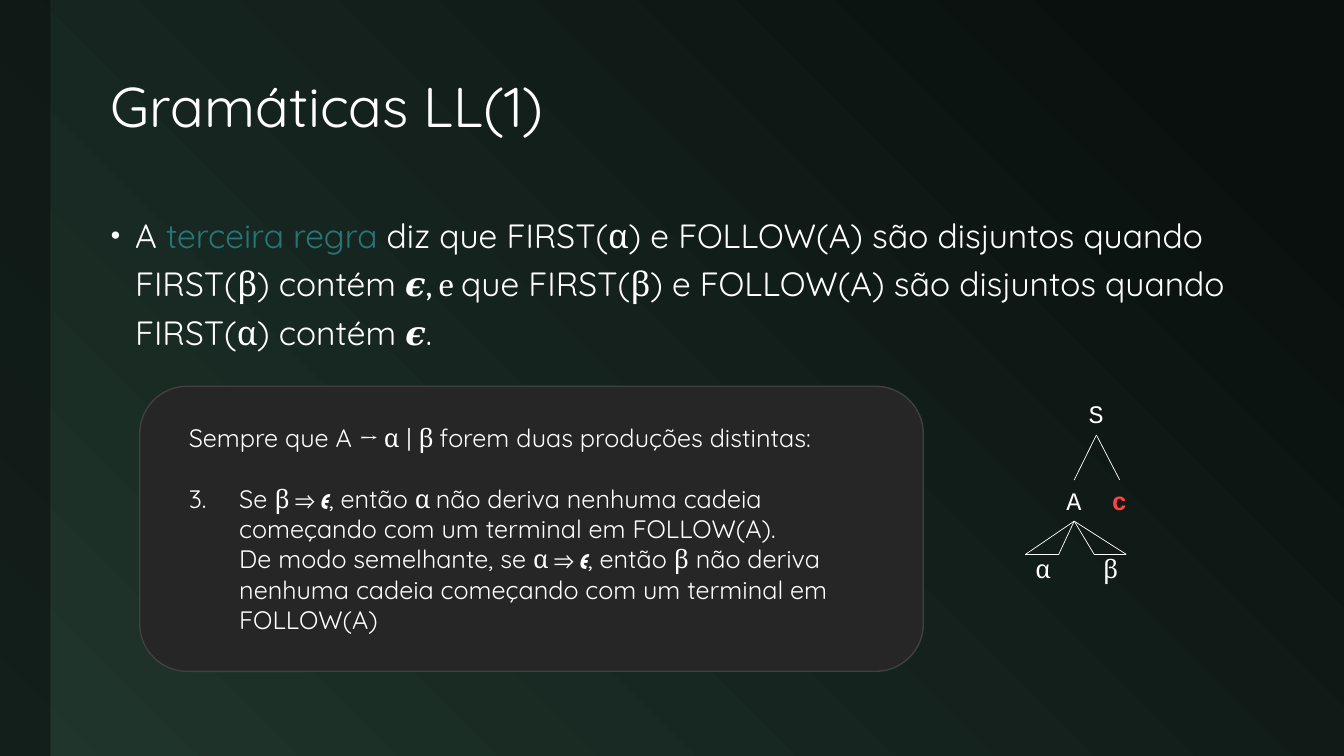
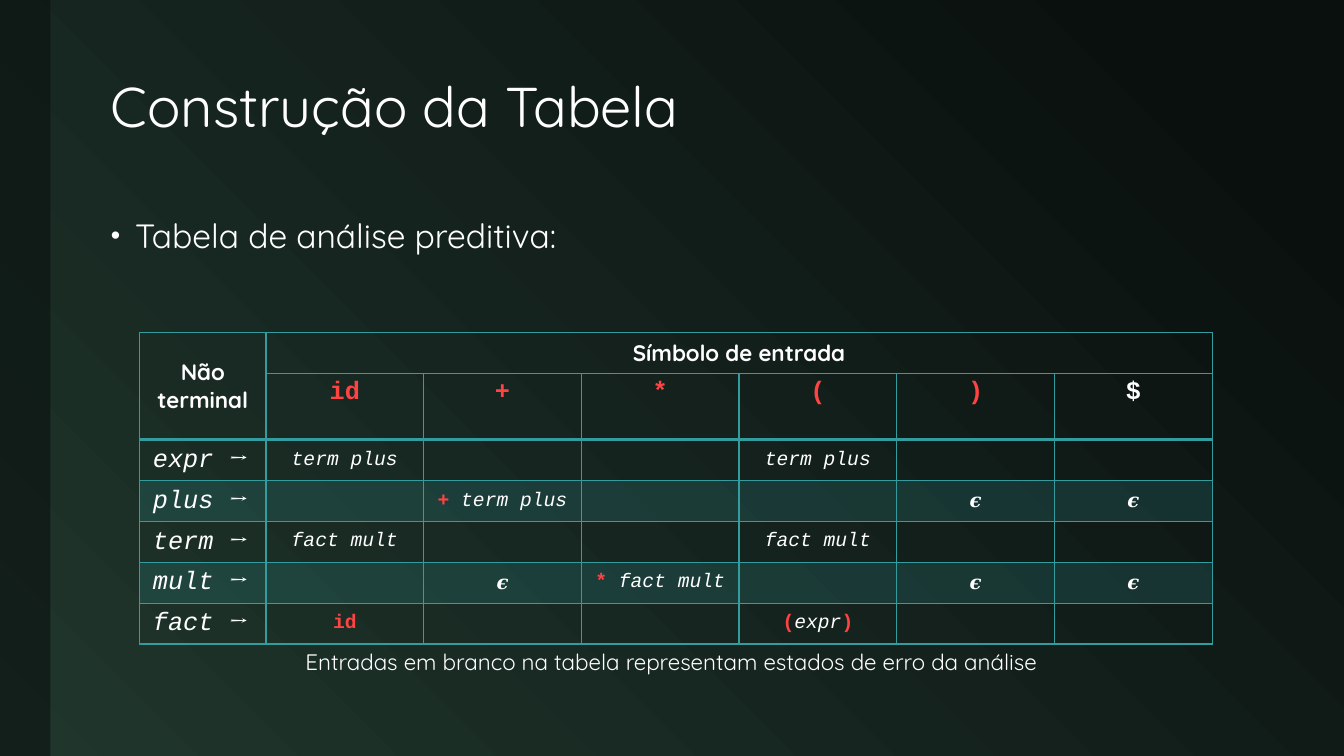
from lxml.etree import SubElement as Sub
from pptx import Presentation
from pptx.dml.color import RGBColor
from pptx.enum.shapes import MSO_CONNECTOR as Link, MSO_SHAPE as Shape
from pptx.enum.text import MSO_ANCHOR as Anchor, MSO_AUTO_SIZE as Fit, PP_ALIGN as Align
from pptx.oxml.ns import qn
from pptx.util import Inches, Pt

WIDE, HIGH = Inches(13.333), Inches(7.5)
DARK, GREEN, WHITE = "0A100E", "20362D", "FFFFFF"
RED, TEAL, AQUA = "FF4343", "267577", "339C9F"
CARD, EDGE = "262626", "404040"
SANS, MONO, MATH = "Quicksand", "Courier New", "Cambria"
SANS_RUN, MATH_RUN = {"face": SANS}, {"face": MATH}
TERMS = ("id", "+", "*", "(", ")")

RULE = (
    ("A ", SANS_RUN), ("terceira regra ", {"face": SANS, "tone": TEAL}),
    ("diz que FIRST(", SANS_RUN), ("α", MATH_RUN),
    (") e FOLLOW(A) são disjuntos quando FIRST(", SANS_RUN), ("β", MATH_RUN),
    (") contém ", SANS_RUN), ("𝝐, e ", MATH_RUN), ("que FIRST(", SANS_RUN),
    ("β", MATH_RUN), (") e FOLLOW(A) são disjuntos quando FIRST(", SANS_RUN),
    ("α", MATH_RUN), (") contém ", SANS_RUN), ("𝝐", MATH_RUN), (".", SANS_RUN),
)
LEAD = (
    ("Sempre que A ", SANS_RUN), ("→ α | β ", MATH_RUN),
    ("forem duas produções distintas:", SANS_RUN),
)
CASE = (
    ("Se ", SANS_RUN), ("β ⇒ 𝝐", MATH_RUN), (", então ", SANS_RUN), ("α ", MATH_RUN),
    ("não deriva nenhuma cadeia começando com um terminal em FOLLOW(A).\n"
     "De modo semelhante, se ", SANS_RUN),
    ("α ⇒ 𝝐", MATH_RUN), (", então ", SANS_RUN), ("β", MATH_RUN),
    (" não deriva nenhuma cadeia começando com um terminal em FOLLOW(A)", SANS_RUN),
)
HEADS = ("id", "+", "*", "(", ")", "$")
MOVES = {
    "expr": {1: ("term plus",), 4: ("term plus",)},
    "plus": {2: ("+ ", "term plus"), 5: ("𝝐",), 6: ("𝝐",)},
    "term": {1: ("fact mult",), 4: ("fact mult",)},
    "mult": {2: ("𝝐",), 3: ("* ", "fact mult"), 5: ("𝝐",), 6: ("𝝐",)},
    "fact": {1: ("id",), 4: ("(", "expr", ")")},
}


def grid(x, y, w, h):
    """Turn hundredths of the slide into a box."""
    return tuple(int(part * side / 100) for part, side in zip((x, y, w, h), (WIDE, HIGH) * 2))


def inner(box, x, y, w=0, h=0):
    """Turn shares of a box into a box."""
    left, top, wide, high = box
    return int(left + x * wide), int(top + y * high), int(w * wide), int(h * high)


def ink(tone):
    """Make a colour from a hex string."""
    return RGBColor.from_string(tone)


def paint(fill, root, tone, alpha=100):
    """Fill solid, with an opacity in percent."""
    fill.solid()
    fill.fore_color.rgb = ink(tone)
    if alpha < 100:
        Sub(root.find(qn("a:solidFill"))[0], qn("a:alpha"), val=str(alpha * 1000))


def dress(font, face=None, size=None, tone=None, bold=None, slant=None):
    """Set the given traits of a font."""
    if face:
        font.name = face
    if size:
        font.size = Pt(size)
    if tone:
        font.color.rgb = ink(tone)
    if bold is not None:
        font.bold = bold
    if slant is not None:
        font.italic = slant


def write(para, parts, align=Align.LEFT, **look):
    """Write plain text or styled parts into a paragraph."""
    para.alignment = align
    dress(para.font, **{"tone": WHITE, **look})
    for text, style in [(parts, {})] if isinstance(parts, str) else parts:
        for count, line in enumerate(text.split("\n")):
            if count:
                para.add_line_break()
            run = para.add_run()
            run.text = line
            dress(run.font, **style)


def mark(para, kind, left, hang, size=None, **attrs):
    """Give a paragraph a hanging bullet or number."""
    props = para._p.get_or_add_pPr()
    props.set("marL", str(Inches(left)))
    props.set("indent", str(-Inches(hang)))
    if size:
        Sub(props, qn("a:buSzPct"), val=str(size * 1000))
    Sub(props, qn(kind), **attrs)


def label(slide, box, parts, wrap=True, **look):
    """Add a text box and return its frame."""
    frame = slide.shapes.add_textbox(*box).text_frame
    frame.word_wrap = wrap
    write(frame.paragraphs[0], parts, **look)
    return frame


def line(slide, start, end):
    """Draw a thin white line."""
    link = slide.shapes.add_connector(Link.STRAIGHT, *start[:2], *end[:2])
    link.line.color.rgb = ink(WHITE)
    link.line.width = Pt(0.5)
    Sub(link.element.spPr, qn("a:effectLst"))


def block(slide, box, kind, tone, alpha=100):
    """Add a flat filled shape without a line."""
    shape = slide.shapes.add_shape(kind, *box)
    shape.shadow.inherit = False
    shape.line.fill.background()
    paint(shape.fill, shape.element.spPr, tone, alpha)
    return shape


def theme(deck, slide):
    """Put the backdrop and the side band on the master."""
    master = deck.slide_master
    fill = master.background.fill
    fill.gradient()
    fill.gradient_angle = 225
    for stop, tone, place in zip(fill.gradient_stops, (DARK, GREEN), (0.1, 1)):
        stop.color.rgb = ink(tone)
        stop.position = place
    band = block(slide, grid(0, 0, 3.75, 100), Shape.RECTANGLE, DARK, 60)
    band.element.nvSpPr.cNvPr.set("id", "99")
    master.shapes.element.insert(2, band.element)


def place(holder, box):
    """Move a placeholder and return its frame."""
    holder.left, holder.top, holder.width, holder.height = box
    holder.text_frame.auto_size = Fit.NONE
    return holder.text_frame


def page(deck, title, text):
    """Add a slide with its title and bullet."""
    slide = deck.slides.add_slide(deck.slide_layouts[1])
    head = place(slide.shapes.title, grid(7.5, 5.6, 87.4, 17.8))
    head.vertical_anchor = Anchor.MIDDLE
    head.paragraphs[0].line_spacing = 0.9
    write(head.paragraphs[0], title, face=SANS, size=40)
    para = place(slide.placeholders[1], grid(7.5, 26.7, 87.4, 64.4)).paragraphs[0]
    para.line_spacing = 1.2
    para.space_before = Pt(0)
    mark(para, "a:buChar", 0.24, 0.24, 80, char="•")
    write(para, text, face=SANS, size=24)
    return slide


def card(slide, box):
    """Draw the rounded card with the third rule."""
    shape = block(slide, box, Shape.ROUNDED_RECTANGLE, CARD)
    shape.line.color.rgb = ink(EDGE)
    shape.line.width = Pt(1)
    frame = label(slide, inner(box, 0.05, 0.11, 0.89, 0.78), LEAD, size=18)
    frame.paragraphs[0].space_after = Pt(21.6)
    para = frame.add_paragraph()
    mark(para, "a:buAutoNum", 0.5, 0.5, type="arabicPeriod", startAt="3")
    write(para, CASE, size=18)


def tree(slide, box):
    """Draw the derivation tree."""
    root, node, leaf, foot = (
        inner(box, *spot) for spot in ((0.64, 0.21), (0.44, 0.44), (0.85, 0.44), (0.44, 0.65)))
    line(slide, node, root)
    line(slide, leaf, root)
    for left, right in ((0, 0.3), (0.62, 0.91)):
        ends = inner(box, left, 0.82), inner(box, right, 0.82)
        line(slide, *ends)
        for end in ends:
            line(slide, end, foot)
    for text, x, y, look in (
        ("S", 0.48, 0, {"face": MONO}),
        ("A", 0.28, 0.44, {"face": MONO}),
        ("c", 0.69, 0.44, {"face": MONO, "tone": RED, "bold": True}),
        ("α", 0, 0.79, MATH_RUN),
        ("β", 0.61, 0.79, MATH_RUN),
    ):
        label(slide, inner(box, x, y, 0.31, 0.21), text, False,
              align=Align.CENTER, size=18, **look)


def frame_cell(cell, top, low, tint):
    """Draw the borders and the fill of a cell."""
    props = cell._tc.get_or_add_tcPr()
    for side, width in (("L", 1), ("R", 1), ("T", top), ("B", low)):
        edge = Sub(props, qn("a:ln" + side), w=str(Pt(width)))
        Sub(Sub(edge, qn("a:solidFill")), qn("a:srgbClr"), val=AQUA)
    if tint:
        paint(cell.fill, props, AQUA, 20)
    else:
        cell.fill.background()


def style(part):
    """Pick the look of a piece of a production."""
    if part.strip() in TERMS:
        return {"face": MONO, "tone": RED, "bold": True}
    return MATH_RUN if part == "𝝐" else {"face": MONO, "slant": True}


def chart(slide, box):
    """Build the predictive parsing table."""
    rows, cols = len(MOVES) + 2, len(HEADS) + 1
    table = slide.shapes.add_table(rows, cols, *box).table
    table.first_row = table.horz_banding = False
    for at, col in enumerate(table.columns):
        col.width = int(box[2] * (5 if at else 4) / (5 * cols - 1))
    for row in table.rows:
        row.height = int(box[3] / rows)
    for r in range(rows):
        for c in range(cols):
            low = 2.25 if r == 1 or r == c == 0 else 1
            frame_cell(table.cell(r, c), 2.25 if r == 2 else 1, low, r in (3, 5))

    def put(r, c, parts, mid=True, **look):
        """Write centred text into one cell."""
        cell = table.cell(r, c)
        cell.vertical_anchor = Anchor.MIDDLE if mid else Anchor.TOP
        write(cell.text_frame.paragraphs[0], parts, align=Align.CENTER, **look)

    table.cell(0, 0).merge(table.cell(1, 0))
    table.cell(0, 1).merge(table.cell(0, cols - 1))
    put(0, 0, "Não\nterminal", face=SANS, size=16, bold=True)
    put(0, 1, "Símbolo de entrada", face=SANS, size=16, bold=True)
    for c, head in enumerate(HEADS, 1):
        put(1, c, head, False, face=MONO, size=18, bold=True,
            tone=RED if head in TERMS else WHITE)
    for r, (name, moves) in enumerate(MOVES.items(), 2):
        put(r, 0, ((name + " ", {"face": MONO}), ("→ ", MATH_RUN)), False,
            size=18, slant=True)
        for c, parts in moves.items():
            put(r, c, [(part, style(part)) for part in parts], size=14)


def main():
    """Build and save the deck."""
    deck = Presentation()
    deck.slide_width, deck.slide_height = WIDE, HIGH
    rule = page(deck, "Gramáticas LL(1)", RULE)
    theme(deck, rule)
    card(rule, grid(10.4, 51.1, 58.3, 37.7))
    tree(rule, grid(76.3, 52.1, 8.25, 25.9))
    build = page(deck, "Construção da Tabela", "Tabela de análise preditiva:")
    chart(build, grid(10.4, 44, 79.8, 37.9))
    label(build, grid(10.4, 85.1, 79.1, 4.9),
          "Entradas em branco na tabela representam estados de erro da análise",
          align=Align.CENTER, face=SANS, size=16)
    deck.save("out.pptx")


if __name__ == "__main__":
    main()
